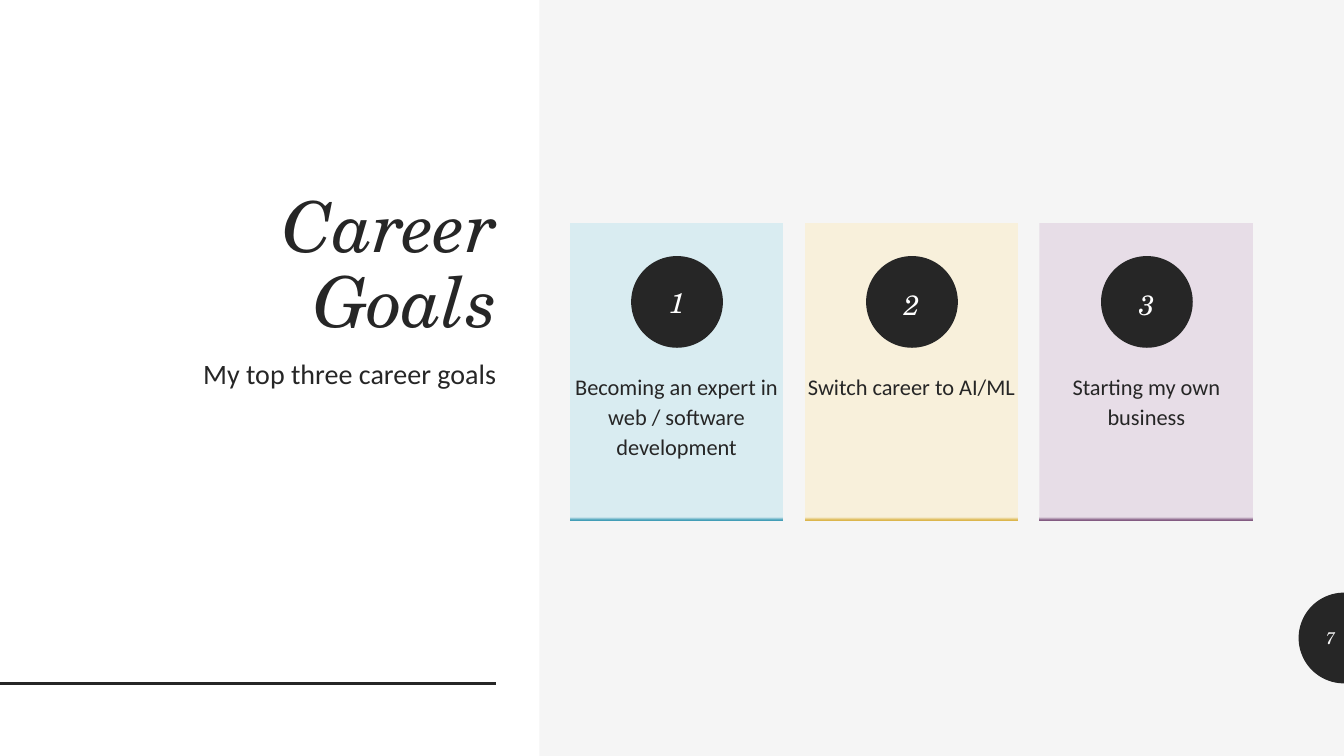
"""Build the Career Goals slide with three numbered goal cards."""
import copy
import math

import pptx
import pptx.dml.color
import pptx.enum.shapes
import pptx.enum.text
import pptx.oxml.ns
import pptx.util
from lxml import etree

PX = 9144
SERIF, SANS = "TeX Gyre Schola", "Calibri"
COLORS = {
    name: pptx.dml.color.RGBColor.from_string(value)
    for name, value in {
        "dark": "262626", "white": "FFFFFF", "pale": "F5F5F5",
        "blue": "D9ECF1", "blue_edge": "439EB7",
        "yellow": "F8F0DB", "yellow_edge": "DCB64D",
        "purple": "E7DDE7", "purple_edge": "835B82",
    }.items()
}
SHAPE = pptx.enum.shapes.MSO_SHAPE
ALIGN = pptx.enum.text.PP_ALIGN
ANCHOR = pptx.enum.text.MSO_ANCHOR
qn = pptx.oxml.ns.qn


def add_solid(kind, x, y, w, h, color):
    sp = slide.shapes.add_shape(kind, x * PX, y * PX, w * PX, h * PX)
    sp.shadow.inherit = False
    sp.line.fill.background()
    sp.fill.solid()
    sp.fill.fore_color.rgb = COLORS[color]
    return sp


def write_text(sp, text, size, font, color, align, anchor, spacing=1.0, before=0, margins=(10, 5, 10, 5)):
    tf = sp.text_frame
    tf.word_wrap = True
    tf.vertical_anchor = anchor
    tf.margin_left, tf.margin_top, tf.margin_right, tf.margin_bottom = [m * PX for m in margins]
    p = tf.paragraphs[0]
    p.alignment = align
    p.line_spacing = spacing
    p.space_before = pptx.util.Pt(before)
    r = p.add_run()
    r.text = text
    r.font.size = pptx.util.Pt(size)
    r.font.name = font
    r.font.italic = font == SERIF
    r.font.color.rgb = COLORS[color]


prs = pptx.Presentation()
prs.slide_width, prs.slide_height = 1333 * PX, 750 * PX
slide = prs.slides.add_slide(prs.slide_layouts[6])
slide.background.fill.solid()
slide.background.fill.fore_color.rgb = COLORS["pale"]

radius, center_y = 45, 633
arc = [
    (round((1333 - radius * math.sin(math.pi * i / 48)) * PX),
     round((center_y - radius * math.cos(math.pi * i / 48)) * PX))
    for i in range(49)
]
builder = slide.shapes.build_freeform(*arc[0], scale=1.0)
builder.add_line_segments(arc[1:], close=True)
tab = builder.convert_to_shape()
tab.shadow.inherit = False
tab.line.fill.background()
tab.fill.solid()
tab.fill.fore_color.rgb = COLORS["dark"]

add_solid(SHAPE.RECTANGLE, 0, 0, 535, 750, "white")

rule = slide.shapes.add_connector(
    pptx.enum.shapes.MSO_CONNECTOR.STRAIGHT, 0, 678 * PX, 492 * PX, 678 * PX)
rule.line.color.rgb = COLORS["dark"]
rule.line.width = pptx.util.Pt(2)
etree.SubElement(rule._element.spPr, qn("a:effectLst"))

title = slide.shapes.add_textbox(84 * PX, 102 * PX, 419 * PX, 243 * PX)
write_text(title, "Career Goals", 50, SERIF, "dark", ALIGN.RIGHT, ANCHOR.BOTTOM, 0.9)

subtitle = slide.shapes.add_textbox(82 * PX, 345 * PX, 420 * PX, 312 * PX)
write_text(subtitle, "My top three career goals", 20, SANS, "dark", ALIGN.RIGHT, ANCHOR.TOP, 1.12, 9)

number = slide.shapes.add_textbox(1289 * PX, 613 * PX, 45 * PX, 40 * PX)
write_text(number, "7", 12, SERIF, "pale", ALIGN.RIGHT, ANCHOR.MIDDLE)

goals = [
    ("Becoming an expert in web / software development", "blue", 1.0),
    ("Switch career to AI/ML", "yellow", 1.12),
    ("Starting my own business", "purple", 1.12),
]
for i, (goal, color, number_spacing) in enumerate(goals):
    x = 565 + 233 * i
    card = add_solid(SHAPE.RECTANGLE, x, 221, 212, 295, color)
    card.fill.gradient()
    card.fill.gradient_angle = 270
    first_stop = card._element.spPr.find(".//" + qn("a:gs"))
    first_stop.addnext(copy.deepcopy(first_stop))
    stops = zip(card.fill.gradient_stops, (0, 0.99, 1), (color, color, color + "_edge"))
    for stop, position, stop_color in stops:
        stop.position = position
        stop.color.rgb = COLORS[stop_color]
    write_text(card, goal, 16, SANS, "dark", ALIGN.CENTER, ANCHOR.TOP, 1.12, 9, (0, 146, 0, 0))

    badge = add_solid(SHAPE.OVAL, x + 61, 254, 91, 91, "dark")
    write_text(badge, str(i + 1), 20, SERIF, "white", ALIGN.CENTER, ANCHOR.MIDDLE,
               number_spacing, 9, (0, 0, 0, 0))

prs.save("out.pptx")
